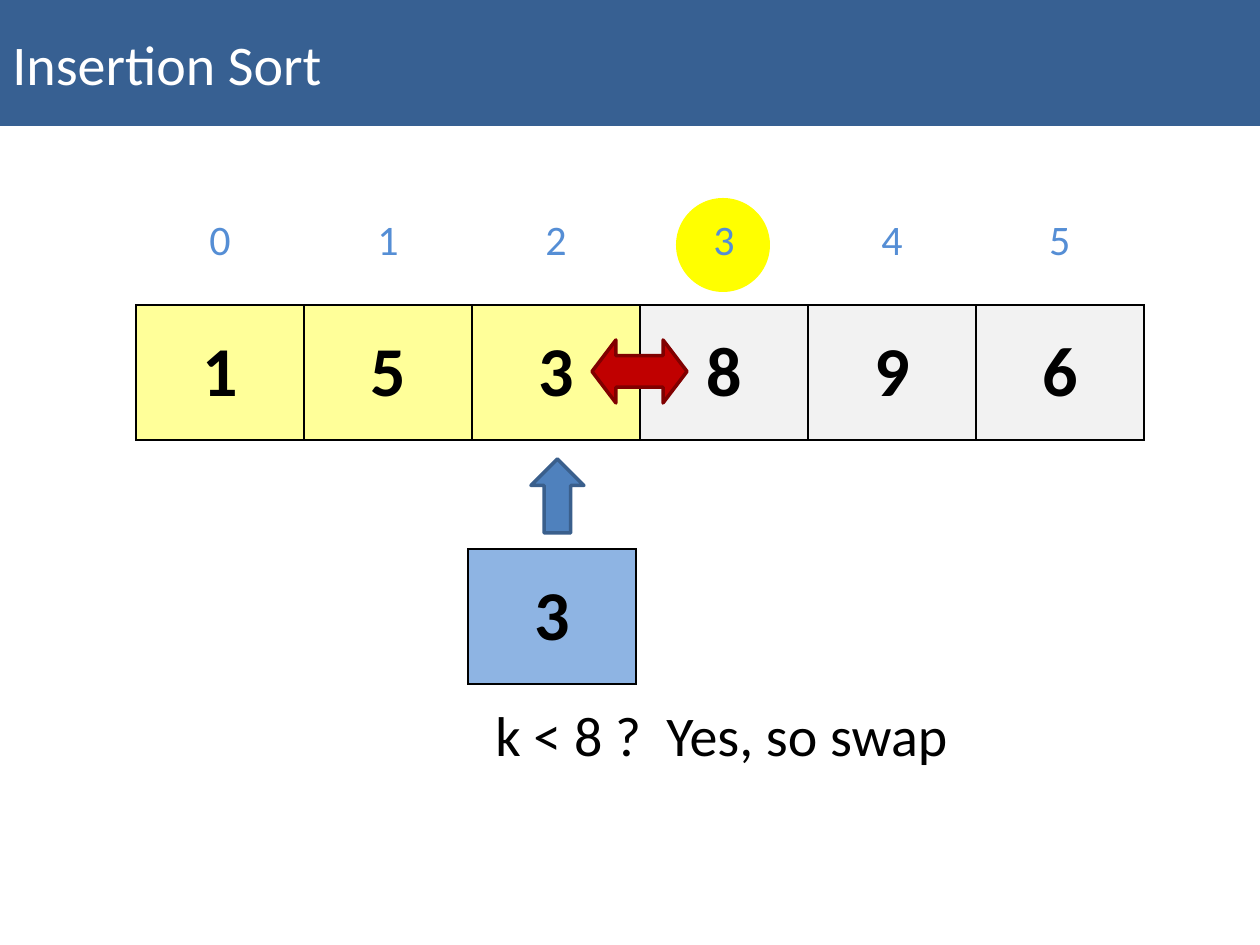
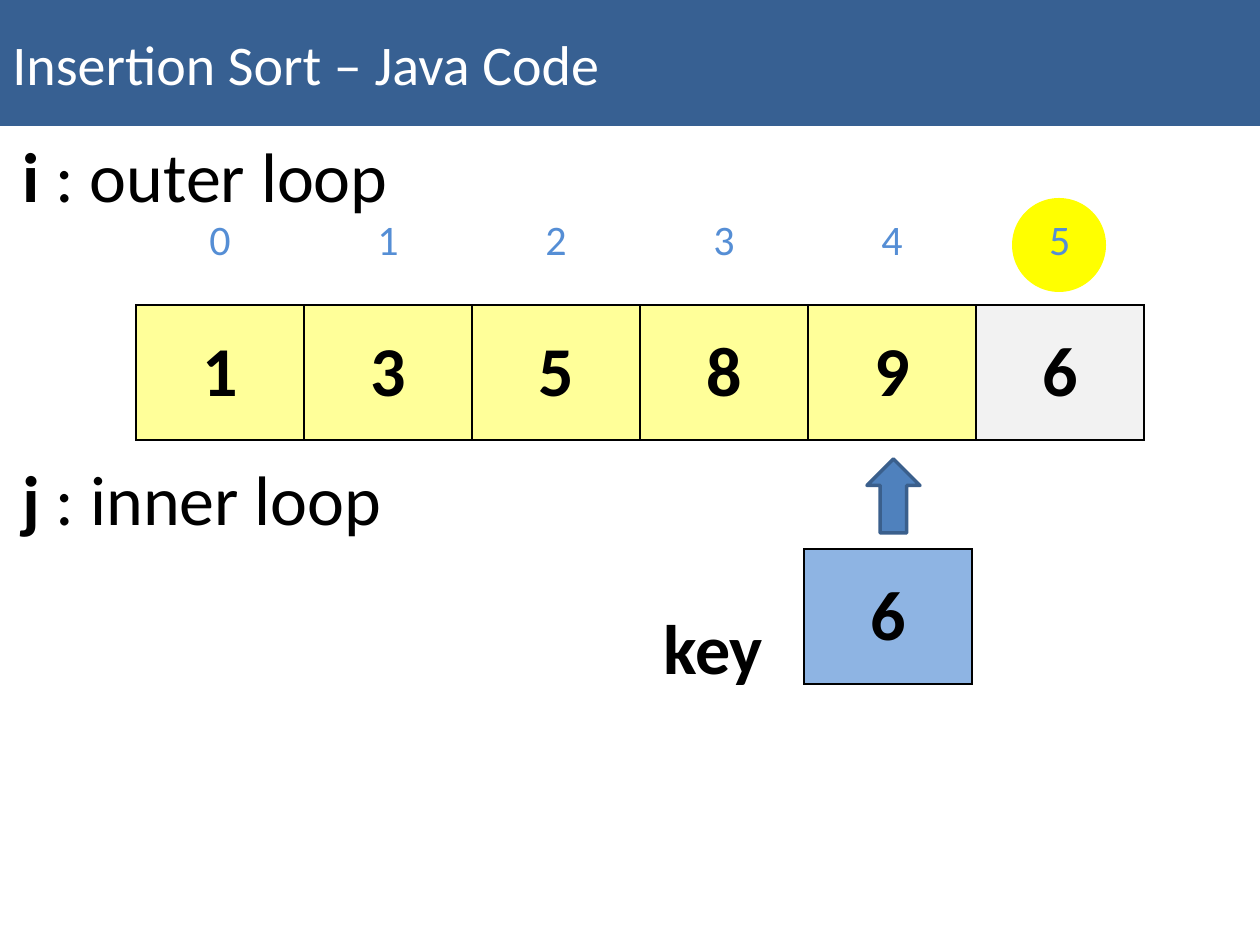
from lxml import etree
from pptx import Presentation
from pptx.dml.color import RGBColor
from pptx.enum.shapes import MSO_SHAPE
from pptx.enum.text import MSO_ANCHOR, PP_ALIGN
from pptx.oxml.ns import qn
from pptx.util import Emu, Pt

RECTANGLE = MSO_SHAPE.RECTANGLE
OVAL = MSO_SHAPE.OVAL
UP_ARROW = MSO_SHAPE.UP_ARROW
SWAP_ARROW = MSO_SHAPE.LEFT_RIGHT_ARROW
MIDDLE = MSO_ANCHOR.MIDDLE
LEFT = PP_ALIGN.LEFT
CENTER = PP_ALIGN.CENTER

COLORS = {
    "band": "376092",
    "white": "FFFFFF",
    "black": "000000",
    "index": "558ED5",
    "marker": "FFFF00",
    "sorted": "FFFF99",
    "unsorted": "F2F2F2",
    "key": "8EB4E3",
    "pointer": "4F81BD",
    "pointer_line": "3A5F8C",
    "swap": "C00000",
    "swap_line": "800000",
}

FONTS = {
    "title": {"name": "Calibri", "size": Pt(32), "bold": False, "color": "white"},
    "note": {"name": "Calibri", "size": Pt(32), "bold": False, "color": "black"},
    "label": {"name": "Calibri", "size": Pt(40), "bold": False, "color": "black"},
    "strong": {"name": "Calibri", "size": Pt(40), "bold": True, "color": "black"},
    "index": {"name": "Calibri", "size": Pt(24), "bold": False, "color": "index"},
}

PX_PER_INCH = 126
PAGE_WIDTH, PAGE_HEIGHT = 1260, 945
ARRAY_LEFT, ARRAY_TOP = 136, 305
CELL_WIDTH, CELL_HEIGHT = 168, 135
INDEX_TOP, INDEX_HEIGHT = 199, 84
KEY_TOP = 549


def px(length):
    return Emu(round(length * 914400 / PX_PER_INCH))


def rgb(color):
    return RGBColor.from_string(COLORS[color])


def cell_left(index):
    return ARRAY_LEFT + index * CELL_WIDTH


def add_span(para, text, style):
    span = para.add_run()
    span.text = text
    for name, value in FONTS[style].items():
        if name == "color":
            span.font.color.rgb = rgb(value)
        else:
            setattr(span.font, name, value)


def add_figure(page, kind, bounds, fill, line=None):
    shape = page.shapes.add_shape(kind, *map(px, bounds))
    shape.shadow.inherit = False
    shape.fill.solid()
    shape.fill.fore_color.rgb = rgb(fill)
    if line:
        shape.line.color.rgb = rgb(line)
        shape.line.width = Pt(2)
    else:
        shape.line.fill.background()
    return shape


def add_title(page, text):
    band = add_figure(page, RECTANGLE, (0, 0, PAGE_WIDTH, 126), "band")
    band.text_frame.vertical_anchor = MIDDLE
    para = band.text_frame.paragraphs[0]
    para.alignment = LEFT
    add_span(para, text, "title")


def add_text(page, bounds, *spans):
    """Add a one-line text box from (text, style) pairs."""
    box = page.shapes.add_textbox(*map(px, bounds))
    box.text_frame.word_wrap = True
    for text, style in spans:
        add_span(box.text_frame.paragraphs[0], text, style)


def set_borders(cell, color):
    """Draw all four sides of a cell, or hide them when color is None."""
    properties = cell._tc.get_or_add_tcPr()
    for side in ("lnL", "lnR", "lnT", "lnB"):
        line = etree.SubElement(properties, qn(f"a:{side}"), w=str(Pt(1)))
        if color:
            fill = etree.SubElement(line, qn("a:solidFill"))
            etree.SubElement(fill, qn("a:srgbClr"), val=COLORS[color])
        else:
            etree.SubElement(line, qn("a:noFill"))


def add_row(page, left, top, height, values, style, fills=None):
    """Add a one-row table; without fills it has no borders either."""
    frame = page.shapes.add_table(
        1, len(values), px(left), px(top), px(CELL_WIDTH * len(values)), px(height))
    table = frame.table
    table.first_row = table.horz_banding = False
    for column, value in enumerate(values):
        cell = table.cell(0, column)
        set_borders(cell, "black" if fills else None)
        if fills:
            cell.fill.solid()
            cell.fill.fore_color.rgb = rgb(fills[column])
        else:
            cell.fill.background()
        cell.vertical_anchor = MIDDLE
        para = cell.text_frame.paragraphs[0]
        para.alignment = CENTER
        add_span(para, str(value), style)


def add_array(page, values, current):
    """Add the array and its indexes, with the current index marked."""
    add_figure(page, OVAL, (cell_left(current) + 36, 198, 94, 94), "marker")
    return_count = len(values)
    add_row(page, ARRAY_LEFT, INDEX_TOP, INDEX_HEIGHT, range(return_count), "index")


def add_values(page, values, sorted_count):
    fills = ["sorted" if index < sorted_count else "unsorted"
             for index in range(len(values))]
    add_row(page, ARRAY_LEFT, ARRAY_TOP, CELL_HEIGHT, values, "strong", fills)


def add_key(page, value, index):
    """Add the key below a cell, with an arrow pointing up to that cell."""
    left = cell_left(index)
    add_row(page, left - 4, KEY_TOP, CELL_HEIGHT, [value], "strong", ["key"])
    add_figure(page, UP_ARROW, (left + 59, 459, 53, 74), "pointer", "pointer_line")


def add_swap(page, index):
    """Add a double arrow over the border between a cell and the next one."""
    border = cell_left(index + 1)
    arrow = add_figure(page, SWAP_ARROW, (border - 48, 340, 95, 63), "swap", "swap_line")
    arrow.adjustments[1] = 0.38


def start_page(deck, title, values, current, sorted_count):
    page = deck.slides.add_slide(deck.slide_layouts[6])
    add_array(page, values, current)
    add_title(page, title)
    add_values(page, values, sorted_count)
    return page


def main():
    deck = Presentation()
    deck.slide_width, deck.slide_height = px(PAGE_WIDTH), px(PAGE_HEIGHT)

    page = start_page(deck, "Insertion Sort", [1, 5, 3, 8, 9, 6], 3, 3)
    add_key(page, 3, 2)
    add_text(page, (483, 694, 504, 81), ("k < 8 ?  Yes, so swap", "note"))
    add_swap(page, 2)

    page = start_page(deck, "Insertion Sort – Java Code", [1, 3, 5, 8, 9, 6], 5, 5)
    add_key(page, 6, 4)
    add_text(page, (651, 598, 147, 97), ("key", "strong"))
    for top, variable, role in ((126, "i", "outer"), (449, "j", "inner")):
        add_text(page, (10, top, 494, 97),
                 (variable, "strong"), (f" : {role} loop", "label"))

    deck.save("out.pptx")


if __name__ == "__main__":
    main()
